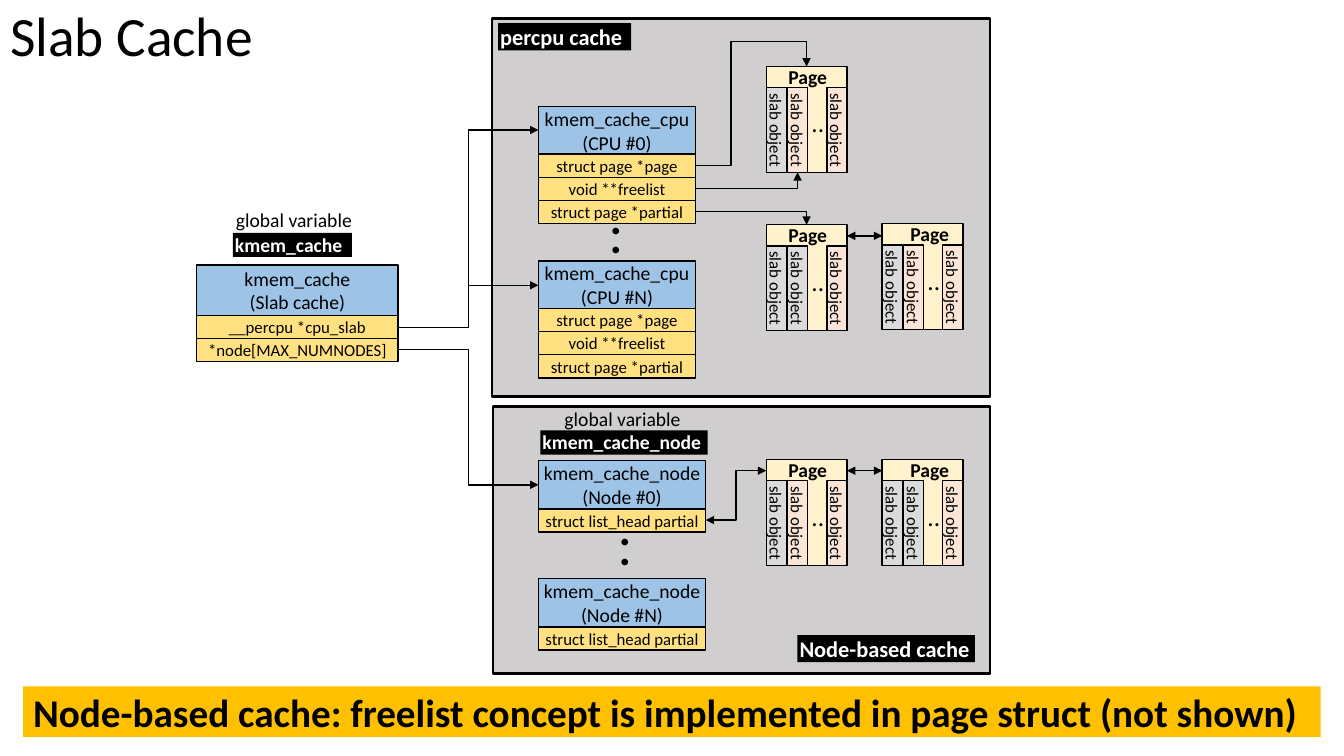
from lxml.etree import SubElement
from pptx import Presentation
from pptx.dml.color import RGBColor
from pptx.enum.shapes import MSO_CONNECTOR, MSO_SHAPE
from pptx.enum.text import MSO_ANCHOR, MSO_AUTO_SIZE, PP_ALIGN
from pptx.oxml.ns import qn
from pptx.util import Emu, Pt

PX = 9144  # 100 px to the inch
FONT = "Calibri"
BLACK = RGBColor(0x00, 0x00, 0x00)
WHITE = RGBColor(0xFF, 0xFF, 0xFF)
PANEL = RGBColor(0xD0, 0xCE, 0xCE)
AMBER = RGBColor(0xFF, 0xC0, 0x00)
BLUE = RGBColor(0x9D, 0xC3, 0xE6)
YELLOW = RGBColor(0xFF, 0xE1, 0x81)
CREAM = RGBColor(0xFF, 0xF2, 0xCC)
GRAY = RGBColor(0xDB, 0xDB, 0xDB)
PEACH = RGBColor(0xFB, 0xE5, 0xD6)

FIELD_HEIGHT = 23
PAGE_WIDTH, PAGE_HEIGHT = 80, 105
SLAB_LENGTH, SLAB_WIDTH = 84, 20


def px(*lengths):
    return [Emu(length * PX) for length in lengths]


def write(shape, text, size, color=BLACK, bold=False, align=PP_ALIGN.LEFT,
          anchor=MSO_ANCHOR.TOP, inset=(10, 5), spacing=None):
    frame = shape.text_frame
    frame.word_wrap = True
    frame.auto_size = MSO_AUTO_SIZE.NONE
    frame.vertical_anchor = anchor
    frame.margin_left = frame.margin_right = Emu(inset[0] * PX)
    frame.margin_top = frame.margin_bottom = Emu(inset[1] * PX)
    para = frame.paragraphs[0]
    para.alignment = align
    if spacing:
        para.line_spacing = spacing
    for number, line in enumerate(text.split("\n")):
        if number:
            para.add_line_break()
        span = para.add_run()
        span.text = line
        span.font.name = FONT
        span.font.size = Pt(size)
        span.font.bold = bold
        span.font.color.rgb = color


def add_box(page, left, top, width, height, fill, line=1):
    box = page.shapes.add_shape(MSO_SHAPE.RECTANGLE, *px(left, top, width, height))
    box.shadow.inherit = False
    box.fill.solid()
    box.fill.fore_color.rgb = fill
    if line:
        box.line.color.rgb = BLACK
        box.line.width = Pt(line)
    else:
        box.line.fill.background()
    return box


def add_cell(page, left, top, width, height, fill, text, size, inset):
    box = add_box(page, left, top, width, height, fill)
    write(box, text, size, align=PP_ALIGN.CENTER, anchor=MSO_ANCHOR.MIDDLE, inset=inset)
    return box


def add_text(page, left, top, width, height, text, size, bold=False, spacing=None):
    box = page.shapes.add_textbox(*px(left, top, width, height))
    write(box, text, size, bold=bold, spacing=spacing)


def add_tag(page, left, top, width, height, text, size):
    box = add_box(page, left, top, width, height, BLACK, line=0)
    write(box, text, size, WHITE, bold=True, inset=(2, 0))


def add_struct(page, left, top, width, header_height, header, fields, inset):
    """Blue header with one yellow row per field."""
    add_cell(page, left, top, width, header_height, BLUE, header, 14, (inset, 5))
    for row, field in enumerate(fields):
        add_cell(page, left, top + header_height + row * FIELD_HEIGHT, width,
                 FIELD_HEIGHT, YELLOW, field, 12, (min(inset, 10), 5))


def add_memory_page(page, left, top, second_fill, label_shift):
    """Page holding three upright slab objects."""
    add_box(page, left, top, PAGE_WIDTH, PAGE_HEIGHT, CREAM)
    for center, fill in ((10, GRAY), (31, second_fill), (70, PEACH)):
        slab = add_cell(page, left + center - SLAB_LENGTH // 2, top + 53,
                        SLAB_LENGTH, SLAB_WIDTH, fill, "slab object", 12, (2, 0))
        slab.rotation = 90
    add_text(page, left + 35, top + 36, 44, 40, "..", 18)
    add_text(page, left + label_shift, top - 7, 61, 34, "Page", 14, bold=True)


def add_arrow(page, start, end, preset=None, adjust=(), both=False):
    kind = MSO_CONNECTOR.ELBOW if preset else MSO_CONNECTOR.STRAIGHT
    arrow = page.shapes.add_connector(kind, *px(*start, *end))
    arrow.line.color.rgb = BLACK
    arrow.line.width = Pt(1)
    properties = arrow._element.spPr
    if preset:
        geometry = properties.find(qn("a:prstGeom"))
        geometry.set("prst", preset)
        guides = geometry.find(qn("a:avLst"))
        for number, value in enumerate(adjust, 1):
            SubElement(guides, qn("a:gd"), name=f"adj{number}", fmla=f"val {value}")
    outline = properties.find(qn("a:ln"))
    for tip in ("headEnd", "tailEnd") if both else ("tailEnd",):
        SubElement(outline, qn(f"a:{tip}"), type="triangle")
    SubElement(properties, qn("a:effectLst"))


def main():
    deck = Presentation()
    deck.slide_width, deck.slide_height = px(1333, 750)
    page = deck.slides.add_slide(deck.slide_layouts[5])

    # Background panels, title and banner
    add_box(page, 489, 403, 493, 265, PANEL, line=2)
    add_box(page, 488, 18, 494, 375, PANEL, line=2)
    title = page.shapes.title
    title.left, title.top, title.width, title.height = px(0, 2, 1150, 73)
    write(title, "Slab Cache", 39.6, anchor=MSO_ANCHOR.MIDDLE, spacing=0.9)
    banner = add_box(page, 23, 681, 1287, 50, AMBER, line=0)
    write(banner, "Node-based cache: freelist concept is implemented in page struct (not shown)",
          28, bold=True, anchor=MSO_ANCHOR.MIDDLE)

    # Structs
    add_struct(page, 195, 263, 200, 50, "kmem_cache\n(Slab cache)",
               ("__percpu *cpu_slab", "*node[MAX_NUMNODES]"), 10)
    for top, name in ((106, "CPU #0"), (259, "CPU #N")):
        add_struct(page, 534, top, 156, 47, f"kmem_cache_cpu\n({name})",
                   ("struct page *page", "void **freelist", "struct page *partial"), 1)
    for top, name in ((457, "Node #0"), (574, "Node #N")):
        add_struct(page, 534, top, 166, 48, f"kmem_cache_node\n({name})",
                   ("struct list_head partial",), 2)
    for left, top in ((595, 217), (604, 526)):
        add_text(page, left, top, 42, 56, ".\n.", 32, bold=True, spacing=Pt(14))

    # Memory pages
    for left, top, second_fill, label_shift in (
            (760, 66, PEACH, 12), (760, 223, GRAY, 12), (875, 222, PEACH, 18),
            (760, 456, PEACH, 12), (875, 456, GRAY, 18)):
        add_memory_page(page, left, top, second_fill, label_shift)

    # Arrows from the slab cache
    for start, end in (((395, 325), (534, 129)), ((395, 325), (534, 283)),
                       ((395, 347), (534, 481))):
        add_arrow(page, start, end, "bentConnector3")

    # Arrows to and between memory pages
    add_arrow(page, (690, 164), (800, 66), "bentConnector4", (31800, 125500))
    add_arrow(page, (690, 187), (791, 171), "bentConnector2")
    add_arrow(page, (690, 210), (800, 223), "bentConnector2")
    add_arrow(page, (700, 516), (760, 467), "bentConnector3", both=True)
    for top in (234, 467):
        add_arrow(page, (840, top), (875, top), both=True)

    # Tags and captions
    add_tag(page, 494, 23, 132, 27, "percpu cache", 16)
    add_tag(page, 791, 630, 176, 27, "Node-based cache", 16)
    add_tag(page, 231, 231, 118, 24, "kmem_cache", 14)
    add_tag(page, 536, 427, 166, 24, "kmem_cache_node", 14)
    for left, top in ((224, 201), (550, 399)):
        add_text(page, left, top, 145, 34, "global variable", 14)

    deck.save("out.pptx")


if __name__ == "__main__":
    main()
